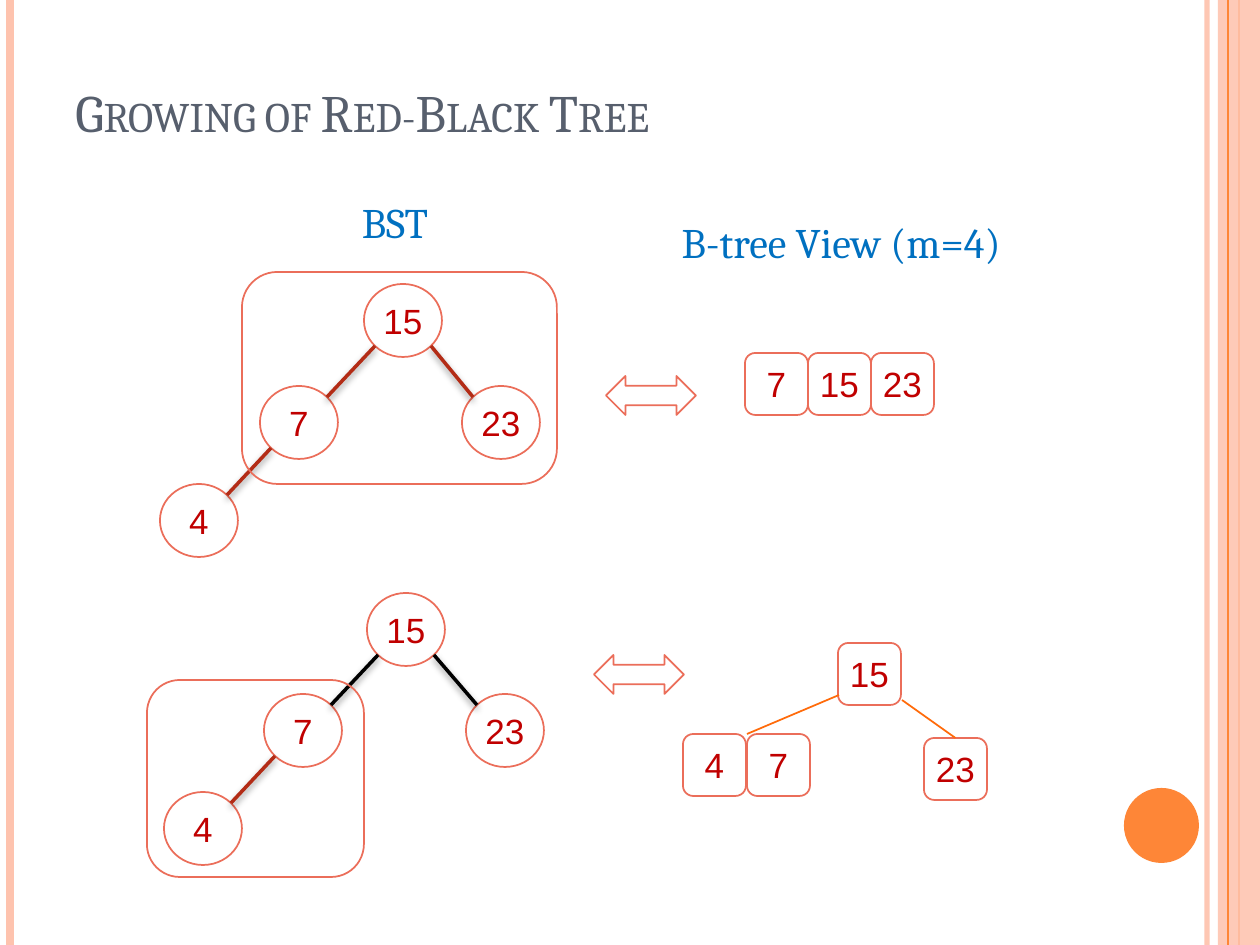
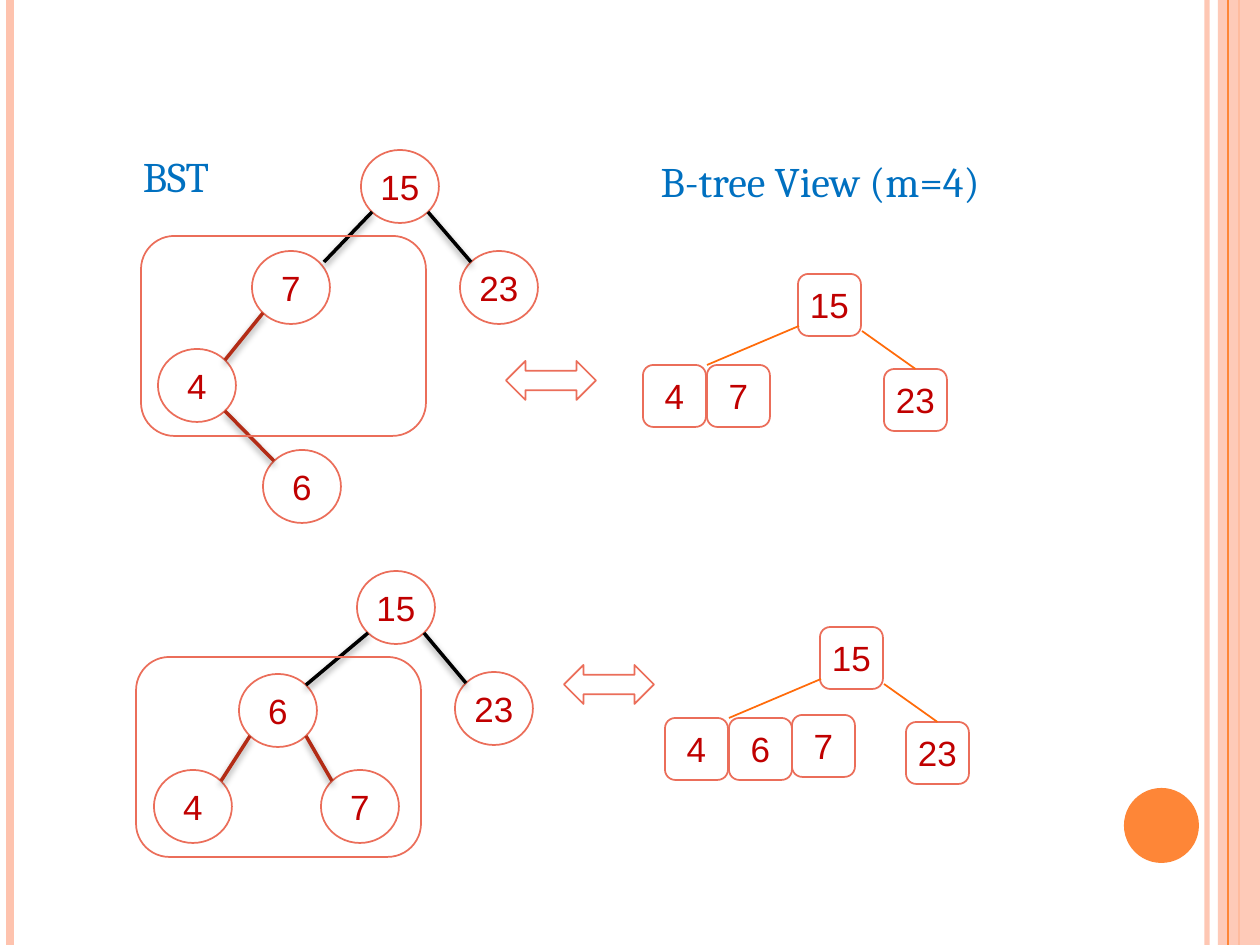
from lxml.etree import SubElement
from pptx import Presentation
from pptx.dml.color import RGBColor
from pptx.enum.shapes import MSO_CONNECTOR, MSO_SHAPE as SHAPE
from pptx.enum.text import MSO_ANCHOR as ANCHOR, PP_ALIGN as ALIGN
from pptx.oxml.ns import qn
from pptx.util import Emu, Pt

PIXEL = 914400 / 126
SLIDE_WIDTH, SLIDE_HEIGHT = 1260, 945

PEACH = RGBColor(0xFE, 0xC3, 0xAE)
ORANGE = RGBColor(0xFE, 0x86, 0x37)
LINK = RGBColor(0xFF, 0x6B, 0x0A)
OUTLINE = RGBColor(0xEB, 0x6E, 0x5A)
RED = RGBColor(0xB3, 0x2C, 0x16)
BLACK = RGBColor(0, 0, 0)
KEY_TEXT = RGBColor(0xC0, 0, 0)
HEADING = RGBColor(0, 0x70, 0xC0)
TITLE = RGBColor(0x57, 0x5F, 0x6D)

NODE_WIDTH, NODE_HEIGHT = 78, 73
NODE_INSET = 11  # from the node's box to the diagonal points of its ellipse
BOX_WIDTH, BOX_HEIGHT = 63, 62
# Keys below a B-tree root, as offsets from the root box
LOW_KEY_OFFSETS = [(-155, 91), (-91, 91), (-28, 88)]
HIGH_KEY_OFFSET = (86, 95)


def px(*lengths):
    """Turn picture pixels into EMU."""
    return [Emu(round(length * PIXEL)) for length in lengths]


def set_alpha(shape, percent):
    """Make the first colour of a shape partly transparent."""
    colour = next(shape._element.spPr.iter(qn("a:srgbClr")))
    SubElement(colour, qn("a:alpha"), val=str(percent * 1000))


def write_text(shape, text, *, size, font, color, align=ALIGN.CENTER,
               anchor=ANCHOR.MIDDLE, insets=None, small_caps=False):
    """Put one formatted line of text into a shape."""
    frame = shape.text_frame
    frame.word_wrap = True
    frame.vertical_anchor = anchor
    if insets:
        frame.margin_left = frame.margin_right = px(insets[0])[0]
        frame.margin_top = frame.margin_bottom = px(insets[1])[0]
    paragraph = frame.paragraphs[0]
    paragraph.alignment = align
    run = paragraph.add_run()
    run.text = text
    run.font.size = Pt(size)
    run.font.name = font
    run.font.color.rgb = color
    if small_caps:
        run._r.get_or_add_rPr().set("cap", "small")


def add_outline(slide, kind, left, top, width, height):
    """Add an unfilled preset shape with the diagram outline."""
    shape = slide.shapes.add_shape(kind, *px(left, top, width, height))
    shape.shadow.inherit = False
    shape.fill.background()
    shape.line.color.rgb = OUTLINE
    shape.line.width = Pt(1)
    return shape


def add_solid(slide, kind, left, top, width, height, color):
    """Add a filled preset shape without a line."""
    shape = slide.shapes.add_shape(kind, *px(left, top, width, height))
    shape.shadow.inherit = False
    shape.fill.solid()
    shape.fill.fore_color.rgb = color
    shape.line.fill.background()
    return shape


def add_line(slide, start, end, color, weight, shadow=False):
    """Add a straight line, with a soft shadow below it if wanted."""
    line = slide.shapes.add_connector(MSO_CONNECTOR.STRAIGHT,
                                      *px(*start, *end))
    line.line.color.rgb = color
    line.line.width = Pt(weight)
    effects = SubElement(line._element.spPr, qn("a:effectLst"))
    if shadow:
        outer = SubElement(effects, qn("a:outerShdw"), blurRad=str(Pt(4)),
                           dist=str(Pt(2)), dir="5400000", rotWithShape="0")
        black = SubElement(outer, qn("a:srgbClr"), val=str(BLACK))
        SubElement(black, qn("a:alpha"), val="40000")
    return line


def add_rule(slide, x, color, weight):
    """Add a full-height vertical rule."""
    return add_line(slide, (x, 0), (x, SLIDE_HEIGHT), color, weight)


def add_backdrop(slide):
    """Draw the side bands and the disc that every slide has."""
    set_alpha(add_rule(slide, 1207, PEACH, 3), 93)
    add_rule(slide, 10, PEACH, 4.5)
    add_rule(slide, 1239, ORANGE, 1.5)
    band = add_solid(slide, SHAPE.RECTANGLE, 1218, 0, 42, SLIDE_HEIGHT, PEACH)
    set_alpha(band, 87)
    add_rule(slide, 1228, ORANGE, 0.75)
    add_solid(slide, SHAPE.OVAL, 1124, 788, 75, 75, ORANGE)


def add_title(slide, text):
    """Add the slide title in small capitals."""
    box = slide.shapes.add_textbox(*px(63, 38, 1029, 111))
    write_text(box, text, size=30, font="Cambria", color=TITLE,
               align=ALIGN.LEFT, anchor=ANCHOR.BOTTOM, small_caps=True)


def add_headings(slide, bst_corner, btree_corner):
    """Name the two views of the tree."""
    for text, corner, width in (("BST", bst_corner, 122),
                                ("B-tree View (m=4)", btree_corner, 470)):
        box = slide.shapes.add_textbox(*px(*corner, width, 63))
        write_text(box, text, size=24, font="Cambria", color=HEADING,
                   anchor=ANCHOR.TOP)


def add_key(slide, kind, key, left, top, width, height):
    """Add an outlined shape that holds a key."""
    shape = add_outline(slide, kind, left, top, width, height)
    write_text(shape, str(key), size=20, font="Arial", color=KEY_TEXT,
               insets=(5, 6))


def add_edge(slide, parent, child, color, nudge=0):
    """Join the facing diagonal points of two nodes, nudging the lower end."""
    near, far = NODE_INSET, NODE_WIDTH - NODE_INSET
    start_x, end_x = (near, far) if child[0] < parent[0] else (far, near)
    add_line(slide, (parent[0] + start_x, parent[1] + NODE_HEIGHT - near),
             (child[0] + end_x + nudge, child[1] + near),
             color, 2, shadow=True)


def add_search_tree(slide, nodes, edges, frame):
    """Draw a search tree and the frame around one B-tree node."""
    for key, corner in nodes.items():
        add_key(slide, SHAPE.OVAL, key, *corner, NODE_WIDTH, NODE_HEIGHT)
    for parent, child, *style in edges:
        add_edge(slide, nodes[parent], nodes[child], *style)
    add_outline(slide, SHAPE.ROUNDED_RECTANGLE, *frame)


def add_box(slide, key, left, top):
    """Add one key box of a B-tree."""
    add_key(slide, SHAPE.ROUNDED_RECTANGLE, key, left, top,
            BOX_WIDTH, BOX_HEIGHT)


def add_btree(slide, left, top, low_keys):
    """Draw a B-tree with root 15, its low keys and 23."""
    add_box(slide, 15, left, top)
    for key, (dx, dy) in zip(low_keys, LOW_KEY_OFFSETS):
        add_box(slide, key, left + dx, top + dy)
    dx, dy = HIGH_KEY_OFFSET
    add_box(slide, 23, left + dx, top + dy)
    low_x, low_y = LOW_KEY_OFFSETS[1]
    add_line(slide, (left + 1, top + 52), (left + low_x, top + low_y), LINK, 1)
    add_line(slide, (left + 64, top + 57),
             (left + dx + BOX_WIDTH / 2, top + dy), LINK, 1)


def add_equivalence(slide, left, top):
    """Add the double arrow between the two views."""
    add_outline(slide, SHAPE.LEFT_RIGHT_ARROW, left, top, 90, 39)


def build_first_slide(slide):
    """Insert 4 and recolour."""
    add_title(slide, "Growing of Red-Black Tree")
    add_headings(slide, (334, 190), (606, 210))
    add_search_tree(
        slide,
        {15: (364, 284), 7: (260, 386), 23: (462, 386), 4: (160, 484)},
        [(15, 7, RED), (15, 23, RED), (7, 4, RED)],
        (242, 272, 315, 212))
    for column, key in enumerate((7, 15, 23)):
        add_box(slide, key, 745 + column * BOX_WIDTH, 353)
    add_equivalence(slide, 606, 376)

    add_search_tree(
        slide,
        {15: (367, 593), 7: (264, 694), 23: (466, 694), 4: (164, 792)},
        [(15, 7, BLACK), (15, 23, BLACK), (7, 4, RED)],
        (147, 680, 217, 197))
    add_btree(slide, 838, 643, (4, 7))
    add_equivalence(slide, 594, 655)


def build_second_slide(slide):
    """Insert 6 and rotate."""
    add_headings(slide, (115, 144), (585, 149))
    add_search_tree(
        slide,
        {15: (361, 150), 7: (252, 251), 23: (460, 251), 4: (158, 349),
         6: (263, 450)},
        [(15, 7, BLACK, 5), (15, 23, BLACK), (7, 4, RED), (4, 6, RED)],
        (141, 236, 285, 200))
    add_btree(slide, 798, 274, (4, 7))
    add_equivalence(slide, 506, 361)

    add_search_tree(
        slide,
        {15: (357, 571), 6: (239, 674), 23: (455, 672), 4: (154, 770),
         7: (321, 770)},
        [(15, 6, BLACK), (15, 23, BLACK), (6, 4, RED), (6, 7, RED)],
        (136, 657, 285, 200))
    add_btree(slide, 820, 627, (4, 6, 7))
    add_equivalence(slide, 564, 665)


def main():
    """Build and save the presentation."""
    presentation = Presentation()
    presentation.slide_width, presentation.slide_height = px(SLIDE_WIDTH,
                                                             SLIDE_HEIGHT)
    for build in (build_first_slide, build_second_slide):
        slide = presentation.slides.add_slide(presentation.slide_layouts[6])
        add_backdrop(slide)
        build(slide)
    presentation.save("out.pptx")


main()
